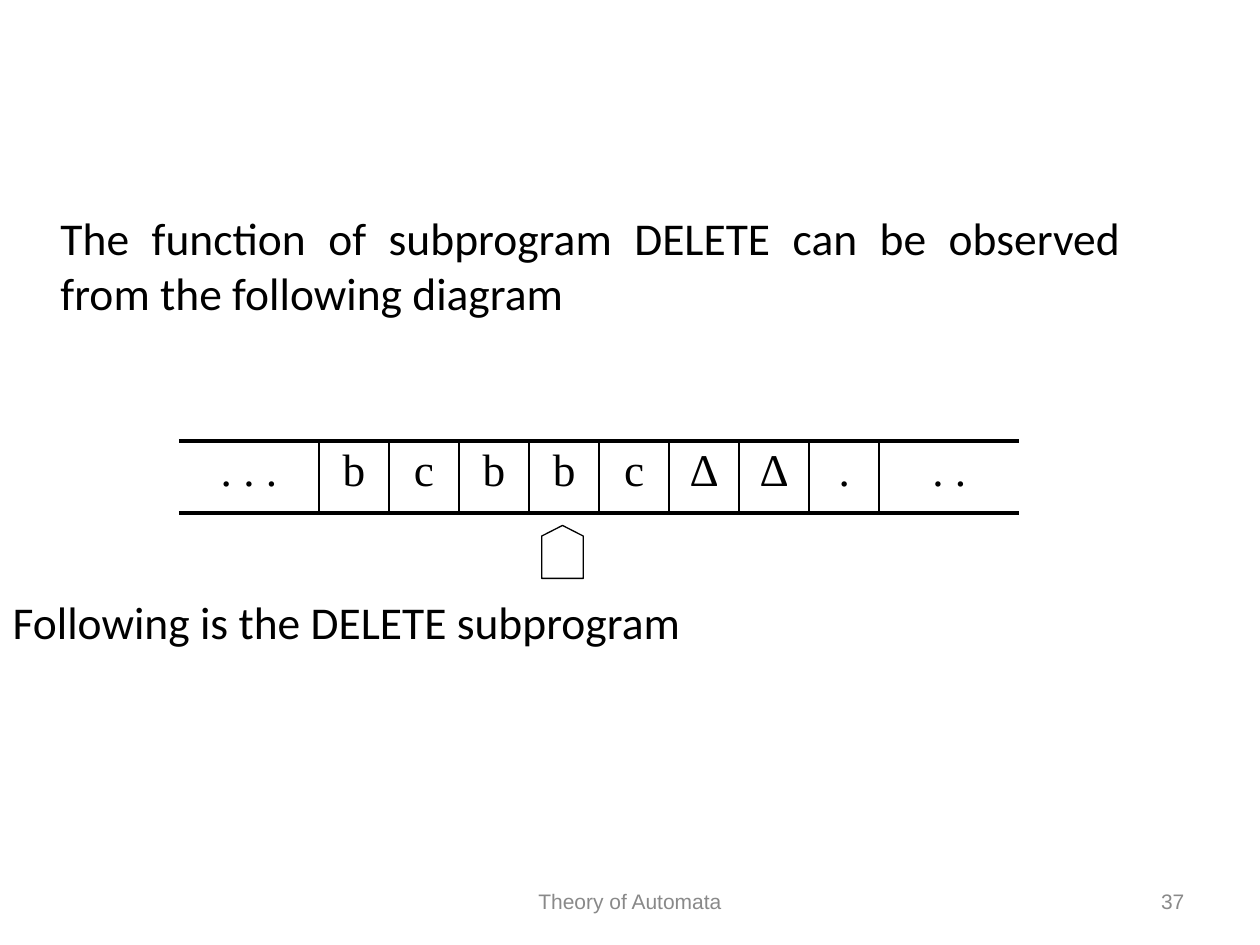
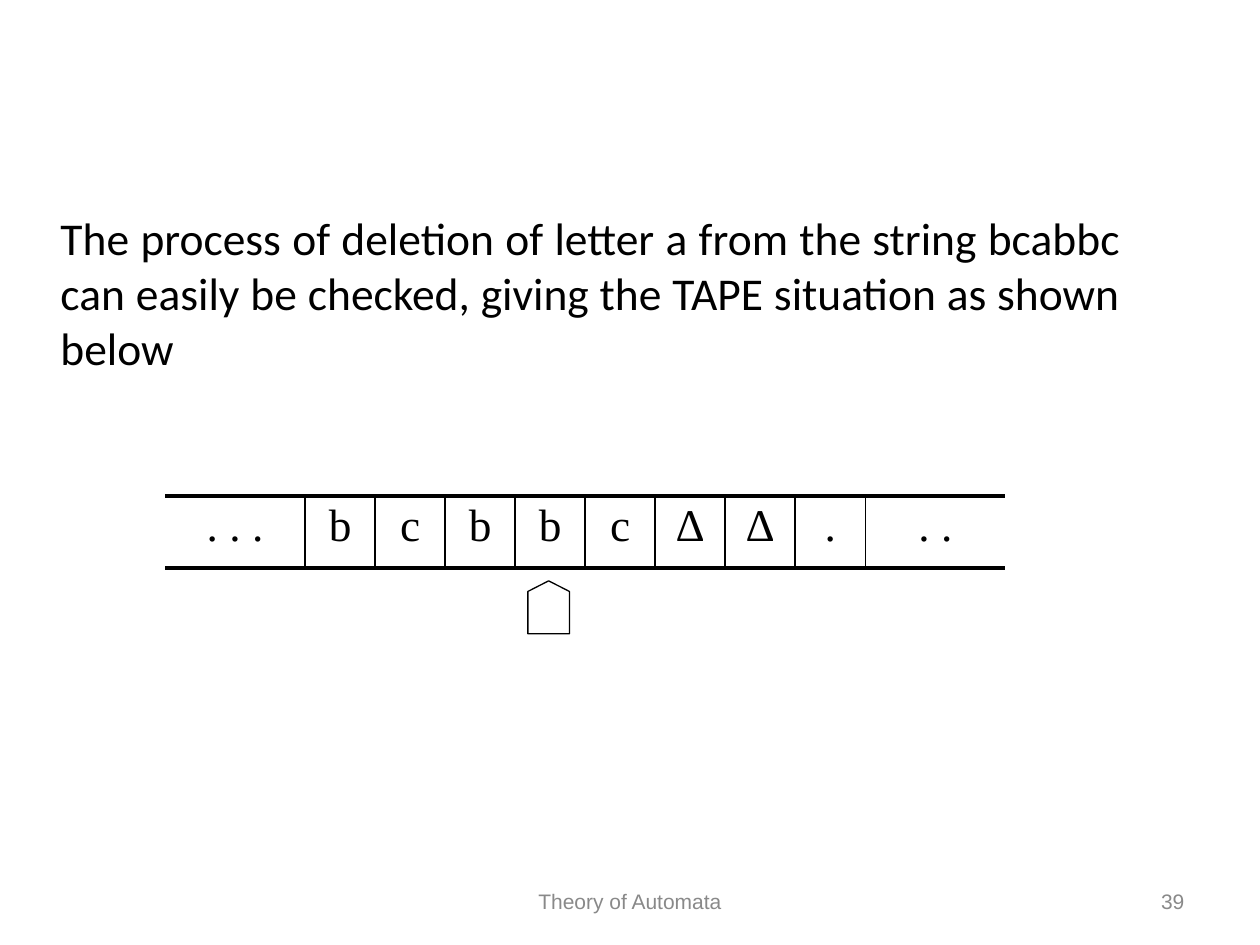
import copy
import dataclasses

import pptx
import pptx.dml.color
import pptx.enum.shapes
import pptx.enum.text
import pptx.oxml
import pptx.oxml.ns
import pptx.util
from pptx.util import Inches

ALIGN = pptx.enum.text.PP_ALIGN
PH = pptx.enum.shapes.PP_PLACEHOLDER


@dataclasses.dataclass(frozen=True)
class Theme:
    ink: str = "000000"
    muted: str = "898989"
    body_font: str = "Calibri"
    tape_font: str = "Times New Roman"
    footer_font: str = "Arial"
    body_size: float = 26
    tape_size: float = 25.9
    footer_size: float = 12
    rail_width: float = 2.25
    divider_width: float = 1
    head_width: float = 0.75


THEME = Theme()
FOOTER = "Theory of Automata"
TAPE = [". . .", "b", "c", "b", "b", "c", "∆", "∆", ".", ". ."]
HEAD_CELL = 4
UNIT = 6.67 / 12
TAPE_HEIGHT = 0.57


def rgb(value):
    return pptx.dml.color.RGBColor.from_string(value)


def write(p, text, font=THEME.body_font, size=THEME.body_size, color=THEME.ink,
          align=ALIGN.JUSTIFY, before=0, spacing=None, indent=0):
    """Fill one paragraph with unbulleted, formatted text."""
    p.alignment = align
    p.space_before = pptx.util.Pt(before)
    if spacing:
        p.line_spacing = spacing
    pPr = p._p.get_or_add_pPr()
    pPr.set("marL", str(Inches(indent)))
    pPr.set("indent", "0")
    pPr.append(pptx.oxml.parse_xml(f"<a:buNone {pptx.oxml.ns.nsdecls('a')}/>"))
    r = p.add_run()
    r.text = text
    r.font.name = font
    r.font.size = pptx.util.Pt(size)
    r.font.color.rgb = rgb(color)


def add_line(shapes, x1, y1, x2, y2, width):
    line = shapes.add_connector(pptx.enum.shapes.MSO_CONNECTOR.STRAIGHT,
                                Inches(x1), Inches(y1), Inches(x2), Inches(y2))
    line.line.color.rgb = rgb(THEME.ink)
    line.line.width = pptx.util.Pt(width)
    line._element.spPr.append(
        pptx.oxml.parse_xml(f"<a:effectLst {pptx.oxml.ns.nsdecls('a')}/>"))


def add_cell(shapes, symbol, left, top, width):
    box = shapes.add_textbox(Inches(left), Inches(top), Inches(width), Inches(TAPE_HEIGHT))
    tf = box.text_frame
    tf.word_wrap = True
    write(tf.paragraphs[0], symbol, font=THEME.tape_font, size=THEME.tape_size,
          align=ALIGN.CENTER, spacing=0.9)


def add_tape_head(shapes, left, top):
    head = shapes.add_shape(pptx.enum.shapes.MSO_SHAPE.FLOWCHART_OFFPAGE_CONNECTOR,
                            Inches(left), Inches(top), Inches(0.33), Inches(0.42))
    head.rotation = 180
    head.shadow.inherit = False
    head.fill.background()
    head.line.color.rgb = rgb(THEME.ink)
    head.line.width = pptx.util.Pt(THEME.head_width)


def add_tape(s, left, top):
    """Draw the tape, whose end cells are two units wide, with its head."""
    shapes = s.shapes.add_group_shape().shapes
    bottom = top + TAPE_HEIGHT
    x = left
    for i, symbol in enumerate(TAPE):
        width = UNIT * (2 if i in (0, len(TAPE) - 1) else 1)
        add_cell(shapes, symbol, x, top, width)
        if i:
            add_line(shapes, x, top, x, bottom, THEME.divider_width)
        if i == HEAD_CELL:
            add_tape_head(shapes, x + 0.1, bottom + 0.1)
        x += width
    for y in (top, bottom):
        add_line(shapes, left, y, x, y, THEME.rail_width)


def add_body(s, text, closing=None):
    body = s.placeholders[1]
    body.left, body.top, body.width, body.height = map(Inches, (0, 1.62, 9, 4.95))
    tf = body.text_frame
    tf.auto_size = pptx.enum.text.MSO_AUTO_SIZE.NONE
    write(tf.paragraphs[0], text, indent=0.38)
    if closing:
        write(tf.add_paragraph(), closing, before=157)


def add_footer(s, number):
    """Bring the layout's footer and number placeholders onto the slide."""
    entries = {PH.FOOTER: (FOOTER, ALIGN.CENTER),
               PH.SLIDE_NUMBER: (str(number), ALIGN.RIGHT)}
    for source in s.slide_layout.placeholders:
        kind = source.placeholder_format.type
        if kind not in entries:
            continue
        text, align = entries[kind]
        s.shapes._spTree.append(copy.deepcopy(source._element))
        p = s.shapes[-1].text_frame.paragraphs[0]
        p.clear()
        write(p, text, font=THEME.footer_font, size=THEME.footer_size,
              color=THEME.muted, align=align)


def add_tape_slide(prs, number, text, tape_at, closing=None):
    s = prs.slides.add_slide(prs.slide_layouts[1])
    title = s.shapes.title._element
    title.getparent().remove(title)
    add_body(s, text, closing)
    add_tape(s, *tape_at)
    add_footer(s, number)


def main():
    prs = pptx.Presentation()
    prs.slide_width, prs.slide_height = Inches(10), Inches(7.5)
    add_tape_slide(
        prs, 37,
        "The function of subprogram DELETE can be observed from the following diagram",
        tape_at=(1.42, 3.5), closing="Following is the DELETE subprogram")
    add_tape_slide(
        prs, 39,
        "The process of deletion of letter a from the string bcabbc can easily be "
        "checked, giving the TAPE situation as shown below",
        tape_at=(1.31, 3.94))
    prs.save("out.pptx")


if __name__ == "__main__":
    main()
